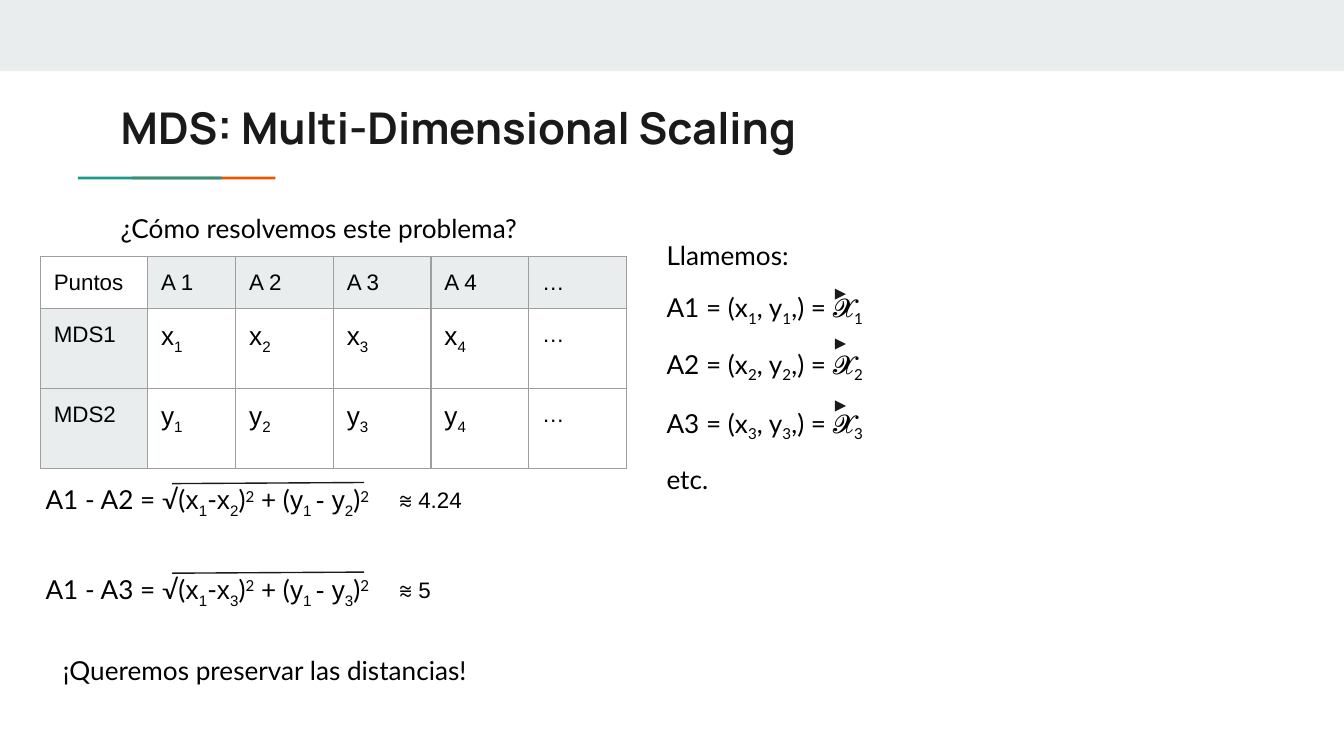
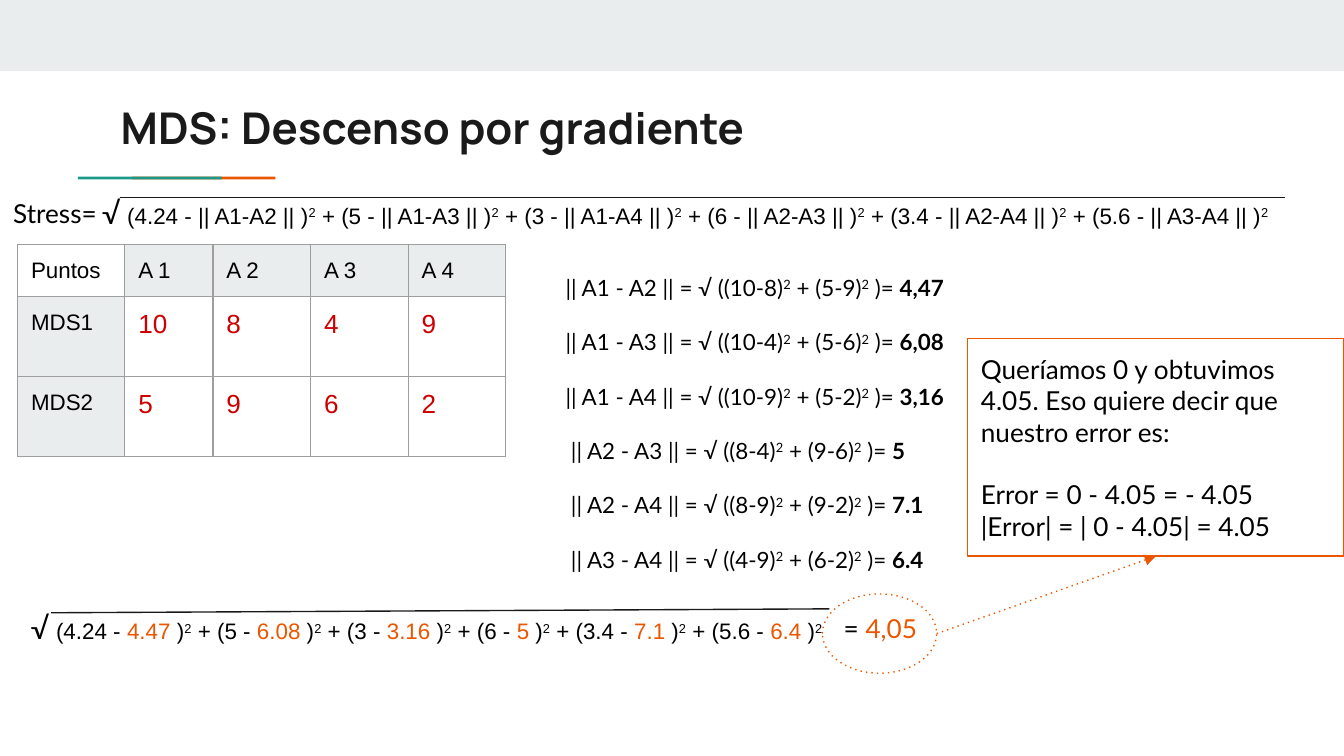
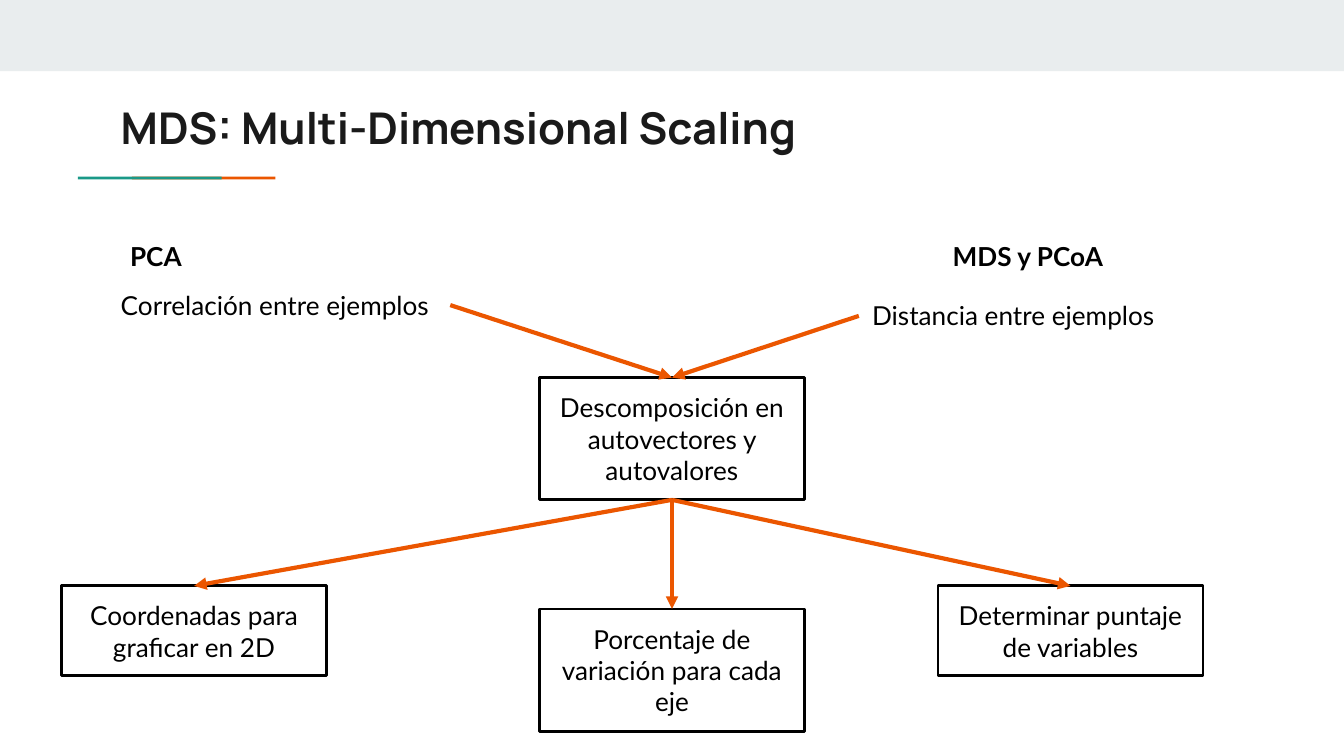
from collections import namedtuple
from dataclasses import dataclass
from itertools import combinations

from lxml.etree import SubElement
from pptx import Presentation
from pptx.dml.color import RGBColor as RGB
from pptx.enum.shapes import MSO_CONNECTOR as Link, MSO_SHAPE as Preset
from pptx.enum.text import MSO_ANCHOR as Anchor, MSO_AUTO_SIZE as Fit, PP_ALIGN as Align
from pptx.oxml.ns import qn
from pptx.util import Pt


@dataclass(frozen=True)
class Theme:
    band: str = "E9EDEE"
    ink: str = "1A1A1A"
    text: str = "000000"
    teal: str = "1A9988"
    orange: str = "EB5600"
    red: str = "CC0000"
    grid: str = "9E9E9E"
    title_font: str = "Manrope"
    body_font: str = "Lato"
    math_font: str = "Arial"
    title: float = 23.4
    root: float = 16
    body: float = 14
    small: float = 12
    inset: float = 7.2
    thin: float = 0.75


T = Theme()
Box = namedtuple("Box", "left top width height")
SUB, SUP = -25000, 30000
TOP, LEFT, BOTTOM, RIGHT = range(4)


@dataclass
class Run:
    text: str
    font: str = None
    size: float = None
    color: str = None
    bold: bool = None
    base: int = 0


def sub(text, **style):
    return Run(text, base=SUB, **style)


def sup():
    return Run("2", base=SUP)


def arial(text):
    return Run(text, font=T.math_font)


# Shared text and drawing helpers

def set_font(font, name=None, size=None, color=None, bold=None):
    if name:
        font.name = name
    if size:
        font.size = Pt(size)
    if color:
        font.color.rgb = RGB.from_string(color)
    if bold is not None:
        font.bold = bold


def fill_paragraph(paragraph, runs, font=T.body_font, size=T.body, color=T.text, bold=None):
    set_font(paragraph.font, font, size, color, bold)
    for item in [runs] if isinstance(runs, str) else runs:
        part = Run(item) if isinstance(item, str) else item
        run = paragraph.add_run()
        run.text = part.text
        set_font(run.font, part.font, part.size, part.color, part.bold)
        if part.base:
            run._r.get_or_add_rPr().set("baseline", str(part.base))


def set_frame(frame, grow=True):
    frame.word_wrap = True
    frame.margin_left = frame.margin_right = Pt(T.inset)
    frame.margin_top = frame.margin_bottom = Pt(T.inset)
    frame.auto_size = Fit.SHAPE_TO_FIT_TEXT if grow else Fit.NONE


def add_label(slide, box, runs, **style):
    label = slide.shapes.add_textbox(*map(Pt, box))
    set_frame(label.text_frame)
    fill_paragraph(label.text_frame.paragraphs[0], runs, **style)
    return label


def add_figure(slide, preset, box, fill=None, line=None, width=T.thin):
    figure = slide.shapes.add_shape(preset, *map(Pt, box))
    figure.shadow.inherit = False
    if fill:
        figure.fill.solid()
        figure.fill.fore_color.rgb = RGB.from_string(fill)
    else:
        figure.fill.background()
    if line:
        figure.line.color.rgb = RGB.from_string(line)
        figure.line.width = Pt(width)
    else:
        figure.line.fill.background()
    return figure


def add_dots(line):
    SubElement(line._get_or_add_ln(), qn("a:prstDash"), val="dot")


def add_line(slide, start, end, color=T.ink, width=T.thin, dotted=False, arrow=False):
    line = slide.shapes.add_connector(Link.STRAIGHT, *map(Pt, (*start, *end)))
    line.line.color.rgb = RGB.from_string(color)
    line.line.width = Pt(width)
    if dotted:
        add_dots(line.line)
    if arrow:
        SubElement(line.line._get_or_add_ln(), qn("a:tailEnd"), type="triangle")
    SubElement(line._element.spPr, qn("a:effectLst"))
    return line


def add_frame_parts(prs, title):
    """Blank slide with the top band, two-colour rule and title."""
    slide = prs.slides.add_slide(prs.slide_layouts[6])
    add_figure(slide, Preset.RECTANGLE, Box(0, 0, 720, 38.2), T.band)
    for left, color in ((70.6, T.orange), (41.8, T.teal)):
        add_figure(slide, Preset.RECTANGLE, Box(left, 94.6, 77, 1.6), color)
    heading = slide.shapes.add_textbox(*map(Pt, (57.6, 46.8, 605.5, 42.5)))
    set_frame(heading.text_frame, grow=False)
    heading.text_frame.vertical_anchor = Anchor.MIDDLE
    fill_paragraph(heading.text_frame.paragraphs[0], title,
                   T.title_font, T.title, T.ink, True)
    return slide


# Table of points

def style_cell(cell, shaded):
    cell.margin_left = cell.margin_right = Pt(T.inset)
    cell.margin_top = cell.margin_bottom = Pt(T.inset)
    borders = cell._tc.get_or_add_tcPr()
    for side in ("lnL", "lnR", "lnT", "lnB"):
        edge = SubElement(borders, qn(f"a:{side}"), w=str(Pt(T.thin)))
        SubElement(SubElement(edge, qn("a:solidFill")), qn("a:srgbClr"), val=T.grid)
    if shaded:
        cell.fill.solid()
        cell.fill.fore_color.rgb = RGB.from_string(T.band)
    else:
        cell.fill.background()


def add_points_table(slide, left, top, header, rows, value_color=T.text):
    widths = [57.5, 47.2] + [52.3] * (len(header) - 2)
    heights = [25.2] + [42.9] * len(rows)
    box = Box(left, top, sum(widths), sum(heights))
    table = slide.shapes.add_table(len(heights), len(widths), *map(Pt, box)).table
    table.first_row = table.horz_banding = False
    for column, width in zip(table.columns, widths):
        column.width = Pt(width)
    for row, height in zip(table.rows, heights):
        row.height = Pt(height)
    for r, entries in enumerate([header] + rows):
        for c, entry in enumerate(entries):
            cell = table.cell(r, c)
            style_cell(cell, (r == 0) != (c == 0))
            is_value = r > 0 and c > 0 and entry != "…"
            fill_paragraph(cell.text_frame.paragraphs[0], entry, T.math_font,
                           T.body if is_value else T.small,
                           value_color if is_value else T.text)


# Slide 1: naming the points and their distances

def add_distance(slide, left, top, other, result):
    formula = ["A1 - A", other, " = √(", arial("x"), sub("1", font=T.math_font), "-",
               arial("x"), sub(other, font=T.math_font), ")", sup(), " + (",
               arial("y"), sub("1 ", font=T.math_font), arial("- y"),
               sub(other, font=T.math_font), ")", sup()]
    formula[:3] = [f"A1 - A{other} = √("]
    add_label(slide, Box(left, top, 200.2, 31.7), formula)
    add_line(slide, (left + 74.9, top + 7.1), (left + 177.8, top + 6.5))
    add_label(slide, Box(left + 189.4, top + 1.2, 63.4, 28.8), f"⩬ {result}",
              font=T.math_font, size=T.small)


def add_vector(slide, left, top, index, arrow_drop):
    add_label(slide, Box(left, top, 144.7, 31.7),
              [f"A{index} = (x", sub(index), ", y", sub(index), ",) = 𝓧", sub(index)])
    tip = top + arrow_drop
    add_line(slide, (left + 98.2, tip), (left + 103.2, tip), arrow=True)


def build_problem(prs):
    slide = add_frame_parts(prs, "MDS: Multi-Dimensional Scaling")
    indices = "1234"
    add_points_table(
        slide, 21.6, 137.5,
        ["Puntos"] + [f"A {i}" for i in indices] + ["…"],
        [[name] + [[axis, sub(i)] for i in indices] + ["…"]
         for name, axis in (("MDS1", "x"), ("MDS2", "y"))])
    for row, (other, result) in enumerate((("2", "4.24"), ("3", "5"))):
        add_distance(slide, 17.3, 252 + 48 * row, other, result)
    add_label(slide, Box(26.6, 343.4, 237.6, 31.7), "¡Queremos preservar las distancias!")
    add_label(slide, Box(57.6, 106.6, 319.7, 31.7), "¿Cómo resolvemos este problema?")

    # Vector names
    column = 350
    add_label(slide, Box(column, 121, 236.2, 31.7), "Llamemos:")
    for index, top, drop in (("1", 149, 8.6), ("2", 179.3, 5), ("3", 211, 6.5)):
        add_vector(slide, column, top, index, drop)
    add_label(slide, Box(column, 241.2, 236.2, 31.7), "etc.")


# Slide 2: stress of a first guess

def add_stress(slide, box, terms, bar_start, bar_end):
    """Square root of a sum of squared (target - distance) terms."""
    runs = [Run("√", T.body_font, T.root), Run(" ", T.body_font, T.body)]
    for n, (target, distance) in enumerate(terms):
        runs += [f"{' + ' if n else ''}({target} - ", distance, " )", sup()]
    add_label(slide, box, runs, font=T.math_font, size=T.small)
    add_line(slide, *((box.left + x, box.top + y) for x, y in (bar_start, bar_end)))


def add_norms(slide, left, top, points, norms):
    for n, ((a, b), norm) in enumerate(zip(combinations(points, 2), norms)):
        (ax, ay), (bx, by) = points[a], points[b]
        indent = 0 if n < 3 else 2.9
        add_label(slide, Box(left + indent, top + 29.1 * n, 221, 28.8),
                  [f"|| {a} - {b} || = √ (({ax}-{bx})", sup(), f" + ({ay}-{by})", sup(),
                   " )= ", Run(norm, bold=True)], size=T.small)


def add_error(slide, result_box, callout_box):
    add_label(slide, Box(result_box.left + 4.3, result_box.top + 2.9, 57.6, 31.7),
              ["= ", Run("4,05", color=T.orange)])
    ring = add_figure(slide, Preset.OVAL, result_box, line=T.orange)
    add_dots(ring.line)

    callout = add_figure(slide, Preset.RECTANGLE, callout_box, line=T.orange)
    frame = callout.text_frame
    set_frame(frame)
    lines = ("Queríamos 0 y obtuvimos 4.05. Eso quiere decir que nuestro error es:",
             "Error = 0 - 4.05 = - 4.05", "|Error| = | 0 - 4.05| = 4.05")
    for n, line in enumerate(lines):
        paragraph = frame.add_paragraph() if n else frame.paragraphs[0]
        paragraph.alignment = Align.LEFT
        fill_paragraph(paragraph, line)
    frame.paragraphs[1].space_before = Pt(16.8)

    add_line(slide,
             (result_box.left + result_box.width, result_box.top + result_box.height / 2),
             (callout_box.left + callout_box.width / 2, callout_box.top + callout_box.height),
             T.orange, dotted=True, arrow=True)


def build_gradient(prs):
    slide = add_frame_parts(prs, "MDS: Descenso por gradiente")
    points = {"A1": (10, 5), "A2": (8, 9), "A3": (4, 6), "A4": (9, 2)}
    targets = ["4.24", "5", "3", "6", "3.4", "5.6"]
    norms = ["4,47", "6,08", "3,16", "5", "7.1", "6.4"]

    xs, ys = ([str(value) for value in axis] for axis in zip(*points.values()))
    add_points_table(slide, 9.4, 131,
                     ["Puntos"] + [f"A {name[1]}" for name in points],
                     [["MDS1"] + xs, ["MDS2"] + ys], T.red)
    pairs = [f"|| {a}-{b} ||" for a, b in combinations(points, 2)]
    add_stress(slide, Box(47.5, 97.2, 666.7, 33.8), zip(targets, pairs),
               (16.6, 8.6), (640.8, 8.6))
    add_norms(slide, 295.9, 139.7, points, norms)
    found = [Run(norm.replace(",", "."), color=T.orange) for norm in norms]
    add_stress(slide, Box(9.4, 319.7, 441.4, 33.8), zip(targets, found),
               (18, 8.6), (434.9, 6.5))
    add_error(slide, Box(440.6, 318.2, 61.2, 42.5), Box(518.4, 181.4, 201.6, 116.6))
    add_label(slide, Box(0, 98.6, 64.1, 31.7), "Stress=")


# Slide 3: flow shared by both methods

def add_step(slide, box, text):
    step = add_figure(slide, Preset.RECTANGLE, box, line=T.text, width=1.5)
    set_frame(step.text_frame)
    paragraph = step.text_frame.paragraphs[0]
    paragraph.alignment = Align.CENTER
    fill_paragraph(paragraph, text)
    return step


def join(slide, source, source_side, target):
    arrow = add_line(slide, (0, 0), (0, 0), T.orange, 2.25, arrow=True)
    arrow.begin_connect(source, source_side)
    arrow.end_connect(target, TOP)


def build_comparison(prs):
    slide = add_frame_parts(prs, "MDS: Multi-Dimensional Scaling")
    add_label(slide, Box(62.6, 121.7, 49.7, 31.7), "PCA", bold=True)
    add_label(slide, Box(503.3, 121.7, 126, 31.7), "MDS y PCoA", bold=True)
    correlation = add_label(slide, Box(57.6, 147.6, 183.6, 31.7), "Correlación entre ejemplos")
    distance = add_label(slide, Box(460.1, 153.4, 183.6, 31.7), "Distancia entre ejemplos")

    step_width = 142
    split = add_step(slide, Box(289, 202.3, step_width, 65.5),
                     "Descomposición en autovectores y autovalores")
    join(slide, correlation, RIGHT, split)
    join(slide, distance, LEFT, split)
    for left, top, height, text in (
            (289, 326.2, 65.5, "Porcentaje de variación para cada eje"),
            (33, 313.9, 48.2, "Coordenadas para graficar en 2D"),
            (502.5, 313.9, 48.2, "Determinar puntaje de variables")):
        outcome = add_step(slide, Box(left, top, step_width, height), text)
        join(slide, split, BOTTOM, outcome)


def main():
    prs = Presentation()
    prs.slide_width, prs.slide_height = Pt(720), Pt(405)
    build_problem(prs)
    build_gradient(prs)
    build_comparison(prs)
    prs.save("out.pptx")


if __name__ == "__main__":
    main()
